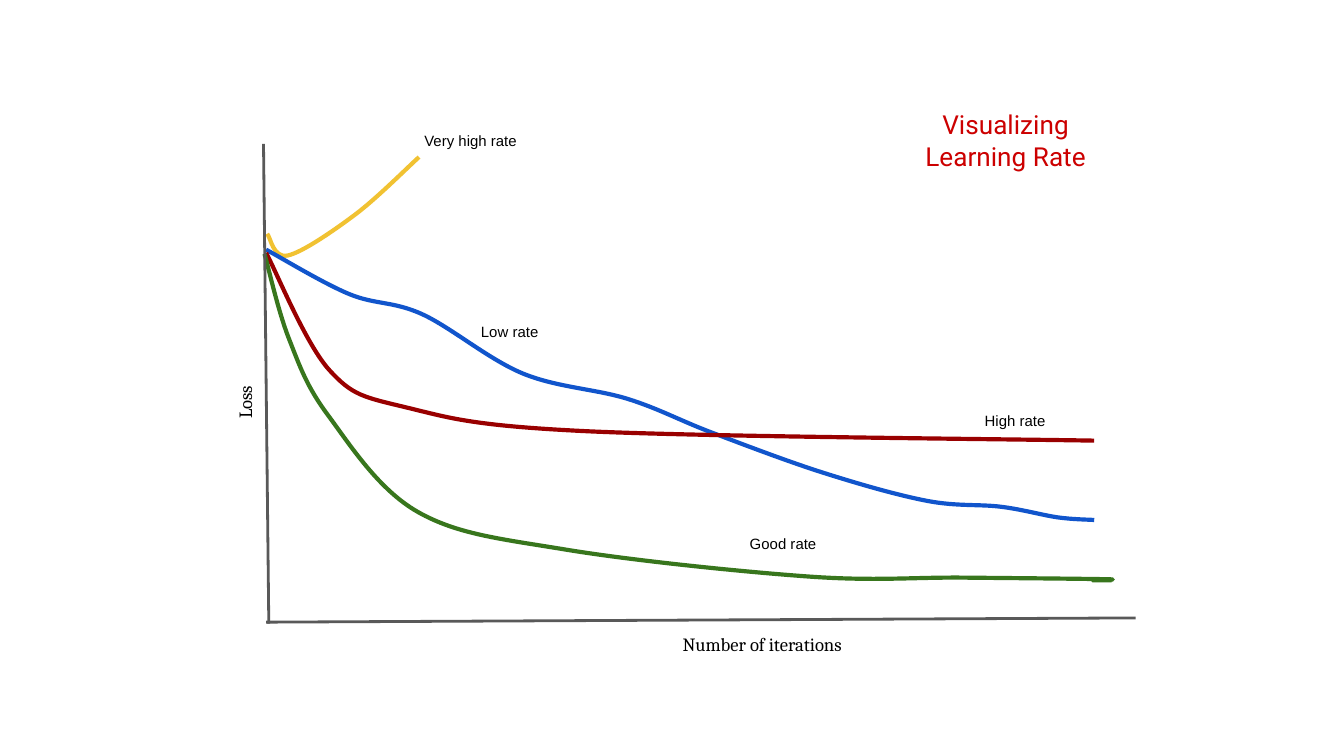
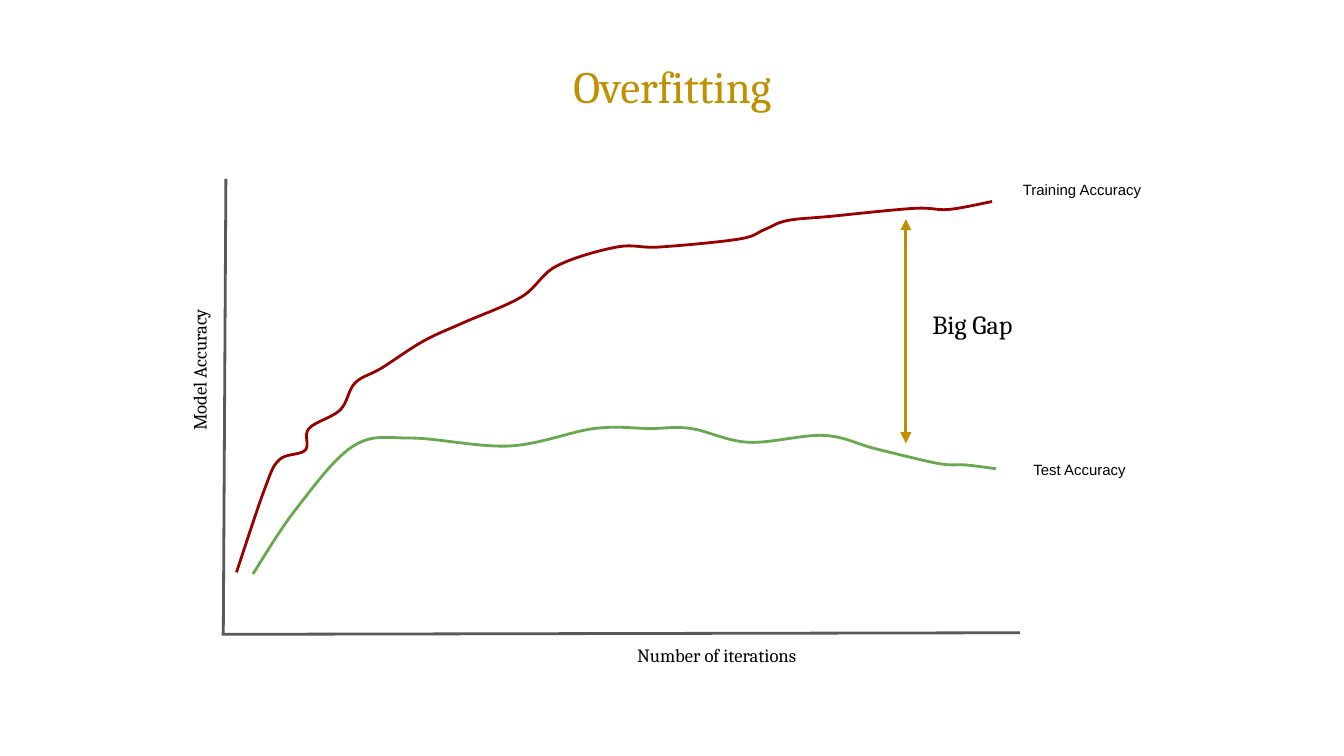
"""Build two hand-drawn style line plots: learning rates and overfitting."""
from lxml.etree import SubElement
from pptx import Presentation
from pptx.dml.color import RGBColor
from pptx.enum.shapes import MSO_CONNECTOR as Connector
from pptx.enum.text import MSO_ANCHOR as Anchor, MSO_AUTO_SIZE as AutoSize, PP_ALIGN as Align
from pptx.oxml.ns import qn
from pptx.util import Cm, Pt

THEME = {
    "black": "000000", "axis": "595959", "gold": "BF9000", "yellow": "F1C232",
    "blue": "1155CC", "dark red": "990000", "red": "CC0000",
    "green": "38761D", "light green": "6AA84F",
    "series": {"font": "Arial", "size": 8},
    "axis name": {"font": "Cambria", "size": 10},
    "callout": {"font": "Cambria", "size": 14},
    "thin": 1.5, "thick": 2.25,
}
LABEL_HEIGHT = 0.48
AXIS_NAME_WIDTH = 4.27

SLIDES = [
    {
        "title": {"text": "Visualizing Learning Rate", "place": (16.87, 2.41, 4.27, 0.48),
                  "font": "Roboto", "size": 14, "color": "red"},
        "weight": "thick",
        "curves": [
            ("yellow", [(5.05, 4.42), (5.44, 4.83), (6.71, 4.06), (7.92, 2.97)]),
            ("blue", [(5.03, 4.72), (6.6, 5.56), (7.98, 5.94), (9.88, 7.06), (11.86, 7.54),
                      (13.46, 8.18), (15.57, 8.94), (17.53, 9.47), (18.92, 9.58),
                      (19.99, 9.78), (20.68, 9.83)]),
            ("dark red", [(5.03, 4.78), (6.22, 6.99), (7.67, 7.7), (11.05, 8.15),
                          (20.68, 8.33)]),
            ("green", [(5, 4.8), (5.46, 6.4), (6.2, 7.85), (7.9, 9.68), (10.69, 10.39),
                       (15.29, 10.9), (18.19, 10.92), (20.9, 10.95), (20.65, 10.97),
                       (21.01, 10.97)]),
        ],
        "axes": [((5.03, 11.76), (21.46, 11.68)), ((4.98, 2.72), (5.08, 11.79))],
        "axis names": [("Number of iterations", 12.65, 11.94, 0), ("Loss", 2.49, 5.79, 270)],
        "labels": [
            ("Very high rate", 7.77, 2.41, 2.34, "series"),
            ("Low rate", 8.84, 6.02, 2.34, "series"),
            ("High rate", 18.36, 7.7, 2.34, "series"),
            ("Good rate", 13.92, 10.03, 2.34, "series"),
        ],
        "gaps": [],
    },
    {
        "title": {"text": "Overfitting", "place": (2.62, 1.02, 20.17, 1.19),
                  "font": "Cambria", "size": 24, "color": "gold"},
        "weight": "thin",
        "curves": [
            ("dark red", [(4.47, 10.82), (5, 9.25), (5.28, 8.69), (5.77, 8.51), (5.84, 8.1),
                          (6.43, 7.75), (6.71, 7.24), (7.21, 6.96), (8, 6.45), (8.76, 6.1),
                          (9.86, 5.61), (10.52, 5.03), (11.66, 4.67), (12.47, 4.67),
                          (13.97, 4.52), (14.45, 4.34), (14.88, 4.17), (15.7, 4.09),
                          (17.27, 3.94), (17.93, 3.96), (18.75, 3.81)]),
            ("light green", [(4.78, 10.85), (5.59, 9.63), (6.68, 8.43), (7.77, 8.28),
                             (9.63, 8.43), (11.23, 8.1), (12.29, 8.1), (13.06, 8.1),
                             (14.15, 8.36), (15.57, 8.23), (16.54, 8.48), (17.73, 8.76),
                             (18.26, 8.79), (18.82, 8.86)]),
        ],
        "axes": [((4.19, 11.99), (19.28, 11.96)), ((4.27, 3.38), (4.22, 11.99))],
        "axis names": [("Number of iterations", 11.79, 12.14, 0),
                       ("Model Accuracy", 1.63, 6.02, 270)],
        "labels": [
            ("Training Accuracy", 19.08, 3.35, 2.82, "series"),
            ("Test Accuracy", 19.28, 8.64, 2.82, "series"),
            ("Big Gap", 17.37, 5.89, 2.82, "callout"),
        ],
        "gaps": [((17.12, 4.14), (17.12, 8.38))],
    },
]


def theme_color(name):
    return RGBColor.from_string(THEME[name])


def write(box, text, font, size, color="black", align=Align.LEFT):
    frame = box.text_frame
    frame.auto_size = AutoSize.NONE
    frame.word_wrap = True
    frame.vertical_anchor = Anchor.MIDDLE
    frame.margin_left = frame.margin_right = frame.margin_top = frame.margin_bottom = Cm(0.25)
    para = frame.paragraphs[0]
    para.alignment = align
    span = para.add_run()
    span.text = text
    span.font.name = font
    span.font.size = Pt(size)
    span.font.color.rgb = theme_color(color)


def add_title(page, text, place, **style):
    box = page.shapes.title
    box.left, box.top, box.width, box.height = map(Cm, place)
    write(box, text, align=Align.CENTER, **style)


def add_label(page, text, left, top, width, style, rotation=0):
    box = page.shapes.add_textbox(Cm(left), Cm(top), Cm(width), Cm(LABEL_HEIGHT))
    box.rotation = rotation
    write(box, text, **THEME[style])


def spline_points(knots):
    padded = [knots[0], *knots, knots[-1]]
    points = []
    for before, start, end, after in zip(padded, padded[1:], padded[2:], padded[3:]):
        points += [
            tuple(s + (e - b) / 6 for b, s, e in zip(before, start, end)),
            tuple(e - (a - s) / 6 for s, e, a in zip(start, end, after)),
            end,
        ]
    return points


def add_curve(page, color, knots, weight):
    builder = page.shapes.build_freeform(*map(Cm, knots[0]))
    builder.add_line_segments([tuple(map(Cm, point)) for point in spline_points(knots)],
                              close=False)
    curve = builder.convert_to_shape()
    curve.shadow.inherit = False
    curve.fill.background()
    curve.line.color.rgb = theme_color(color)
    curve.line.width = Pt(THEME[weight])
    outline = next(curve.element.iter(qn("a:path")))
    segments = outline.findall(qn("a:lnTo"))
    for first in range(0, len(segments), 3):
        bezier = SubElement(outline, qn("a:cubicBezTo"))
        for segment in segments[first:first + 3]:
            bezier.append(segment[0])
            outline.remove(segment)


def add_line(page, start, end, color, arrows=False):
    line = page.shapes.add_connector(Connector.STRAIGHT, *map(Cm, (*start, *end)))
    line.line.color.rgb = theme_color(color)
    line.line.width = Pt(THEME["thin"])
    properties = line.element.spPr
    if arrows:
        for tip in ("a:headEnd", "a:tailEnd"):
            SubElement(properties.find(qn("a:ln")), qn(tip), type="triangle")
    SubElement(properties, qn("a:effectLst"))


def build_page(deck, content):
    page = deck.slides.add_slide(deck.slide_layouts[5])
    add_title(page, **content["title"])
    for color, knots in content["curves"]:
        add_curve(page, color, knots, content["weight"])
    for start, end in content["axes"]:
        add_line(page, start, end, "axis")
    for start, end in content["gaps"]:
        add_line(page, start, end, "gold", arrows=True)
    for label in content["labels"]:
        add_label(page, *label)
    for text, left, top, rotation in content["axis names"]:
        add_label(page, text, left, top, AXIS_NAME_WIDTH, "axis name", rotation)


def main():
    deck = Presentation()
    deck.slide_width, deck.slide_height = Cm(25.4), Cm(14.29)
    for content in SLIDES:
        build_page(deck, content)
    deck.save("out.pptx")


if __name__ == "__main__":
    main()
